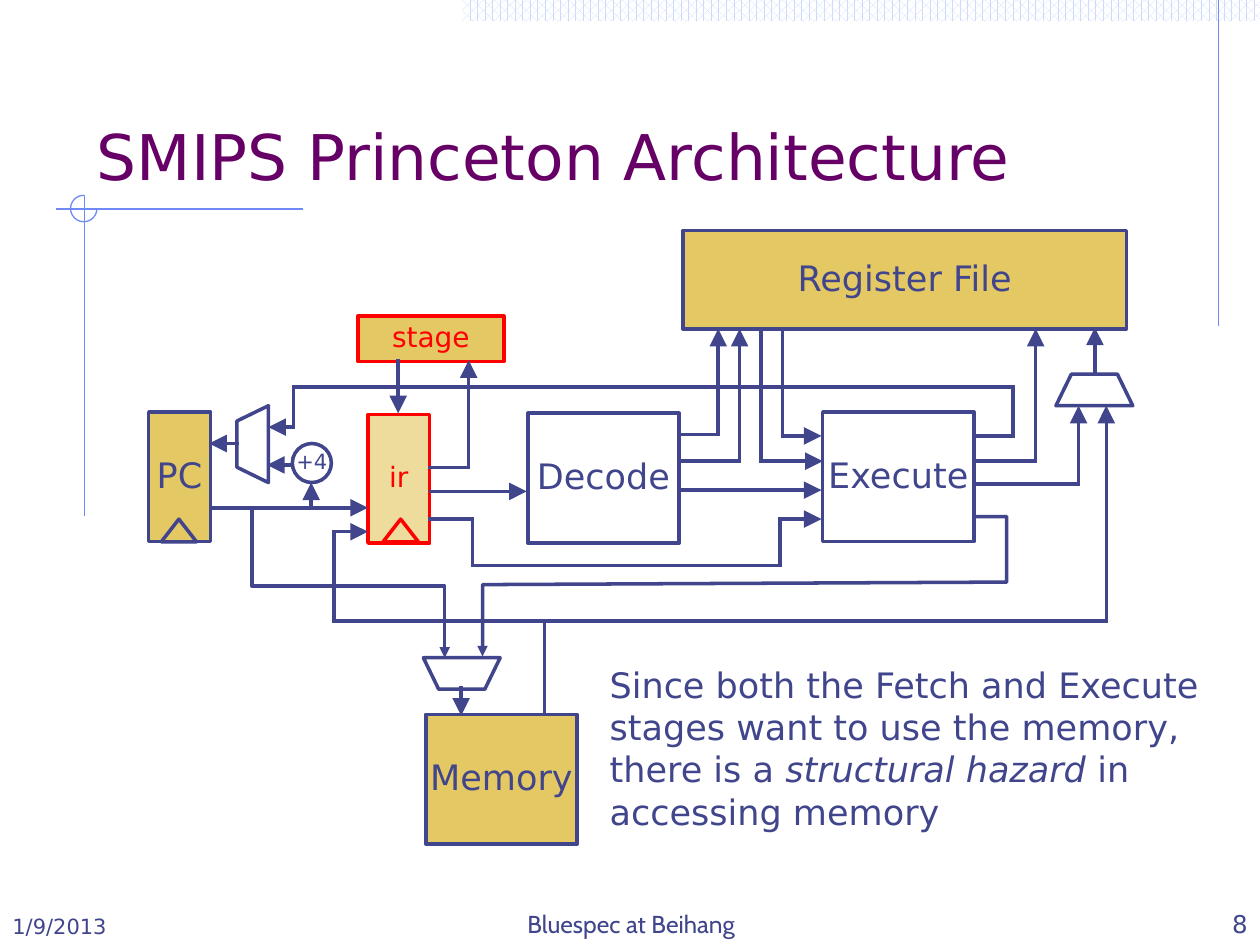
from lxml.etree import SubElement
from pptx import Presentation
from pptx.dml.color import RGBColor
from pptx.enum.dml import MSO_PATTERN as Pattern
from pptx.enum.shapes import MSO_CONNECTOR as Connector, MSO_SHAPE as Shape
from pptx.enum.text import MSO_ANCHOR as Anchor, PP_ALIGN as Align
from pptx.oxml.ns import qn
from pptx.util import Inches, Pt

COLUMNS, ROWS = 1000, 750
CELL = Inches(10) // COLUMNS
FONT = "DejaVu Sans"
COLORS = {
    "ink": "40458C", "title": "660066", "gold": "E4C864", "pale": "EDDC9C",
    "red": "FF0000", "rule": "6F89F7", "band": "CFDBFD", "white": "FFFFFF",
}

BLOCKS = [
    ("PC", (118, 327, 49, 103), "gold", "ink", 20),
    ("Memory", (338, 567, 120, 103), "gold", "ink", 20),
    ("Decode", (419, 328, 120, 103), None, "ink", 20),
    ("Register File", (542, 183, 352, 78), "gold", "ink", 20),
    ("Execute", (653, 327, 120, 103), None, "ink", 20),
    ("ir", (292, 329, 49, 102), "pale", "red", 16),
    ("stage", (284, 251, 116, 36), "gold", "red", 16),
]
MUXES = [((838, 297), 180), ((170, 340), 90), ((336, 522), 0)]
CLOCKS = [(128, "ink"), (304, "red")]

ARROWS = [
    [(341, 412), (375, 412), (375, 449), (619, 449), (619, 412), (652, 412)],
    [(540, 389), (652, 389)],
    [(621, 261), (621, 346), (652, 346)],
    [(604, 261), (604, 366), (653, 366)],
    [(167, 403), (292, 403)],
    [(432, 493), (265, 493), (265, 422), (292, 422)],
    [(432, 567), (432, 493), (878, 493), (878, 322)],
    [(539, 345), (570, 345), (570, 261)],
    [(539, 366), (587, 366), (587, 261)],
    [(869, 295), (869, 260)],
    [(773, 366), (822, 366), (822, 261)],
    [(773, 384), (856, 384), (856, 322)],
    [(773, 346), (804, 346), (804, 307), (233, 307), (233, 339), (213, 339)],
    [(247, 403), (247, 383)],
    [(188, 352), (166, 352)],
    [(232, 369), (212, 369)],
    [(342, 390), (418, 390)],
    [(366, 546), (366, 568)],
    [(316, 286), (316, 328)],
    [(341, 371), (372, 371), (372, 286)],
]
MEMORY_ROUTES = [
    [(200, 404), (200, 465), (353, 465), (353, 522)],
    [(773, 410), (799, 410), (799, 462), (383, 464), (383, 521)],
]
RULES = [
    [(967, 0), (967, 258)],
    [(240, 166), (45, 166)],
    [(67, 155), (67, 409)],
]


def color(name):
    return RGBColor.from_string(COLORS[name])


def cells(*counts):
    return [count * CELL for count in counts]


def paint(shape, fill, line, width=2):
    shape.shadow.inherit = False
    if fill:
        shape.fill.solid()
        shape.fill.fore_color.rgb = color(fill)
    else:
        shape.fill.background()
    shape.line.color.rgb = color(line)
    shape.line.width = Pt(width)


def add_figure(page, kind, area, fill, line, width=2):
    shape = page.shapes.add_shape(kind, *cells(*area))
    paint(shape, fill, line, width)
    return shape


def add_block(page, kind, text, area, fill, ink, size):
    frame = add_figure(page, kind, area, fill, ink).text_frame
    frame.word_wrap = False
    frame.vertical_anchor = Anchor.MIDDLE
    para = frame.paragraphs[0]
    para.text = text
    para.line_spacing = 0.9
    style(para, size, ink, Align.CENTER)


def style(para, size, ink="ink", align=Align.LEFT, font=FONT):
    para.alignment = align
    para.font.size = Pt(size)
    para.font.name = font
    para.font.color.rgb = color(ink)


def add_text(page, spans, area, size, anchor=Anchor.BOTTOM, **look):
    frame = page.shapes.add_textbox(*cells(*area)).text_frame
    frame.word_wrap = True
    frame.vertical_anchor = anchor
    para = frame.paragraphs[0]
    for text, italic in spans:
        span = para.add_run()
        span.text = text
        if italic:
            span.font.italic = True
    style(para, size, **look)


def add_arrowhead(shape, size):
    outline = shape._element.spPr.find(qn("a:ln"))
    SubElement(outline, qn("a:tailEnd"), type="triangle", w=size, len=size)


def add_wire(page, points, ink="ink", width=2, arrow=True):
    for start, end in zip(points, points[1:]):
        line = page.shapes.add_connector(Connector.STRAIGHT, *cells(*start, *end))
        line.line.color.rgb = color(ink)
        line.line.width = Pt(width)
        properties = line._element.spPr
        properties.find(qn("a:ln")).set("cap", "sq")
        SubElement(properties, qn("a:effectLst"))
    if arrow:
        add_arrowhead(line, "lg")


def add_route(page, points):
    builder = page.shapes.build_freeform(*points[0], scale=CELL)
    builder.add_line_segments(points[1:], close=False)
    route = builder.convert_to_shape()
    paint(route, None, "ink")
    add_arrowhead(route, "med")


def add_decoration(page):
    band = page.shapes.add_shape(Shape.RECTANGLE, *cells(367, 0, 633, 17))
    band.shadow.inherit = False
    band.line.fill.background()
    band.fill.patterned()
    band.fill.pattern = Pattern.PERCENT_60
    band.fill.fore_color.rgb = color("band")
    band.fill.back_color.rgb = color("white")
    for points in RULES:
        add_wire(page, points, "rule", 0.75, arrow=False)
    arc = add_figure(page, Shape.ARC, (56, 155, 21, 21), None, "rule", 0.75)
    arc.adjustments[0] = 0
    arc.adjustments[1] = 162


def add_diagram(page):
    for block in BLOCKS:
        add_block(page, Shape.RECTANGLE, *block)
    add_block(page, Shape.OVAL, "+4", (232, 352, 31, 31), None, "ink", 12)
    for corner, turn in MUXES:
        mux = add_figure(page, Shape.FLOWCHART_MANUAL_OPERATION, (*corner, 61, 25), "white", "ink")
        mux.rotation = turn
    for left, ink in CLOCKS:
        add_figure(page, Shape.ISOSCELES_TRIANGLE, (left, 412, 28, 18), None, ink)
    for points in ARROWS:
        add_wire(page, points)
    for points in MEMORY_ROUTES:
        add_route(page, points)


def main():
    deck = Presentation()
    deck.slide_width, deck.slide_height = cells(COLUMNS, ROWS)
    page = deck.slides.add_slide(deck.slide_layouts[6])
    add_decoration(page)
    add_text(page, [("SMIPS Princeton Architecture", False)], (67, 33, 850, 125), 36, ink="title")
    add_diagram(page)
    add_text(page, [
        ("Since both the Fetch and Execute stages want to use the memory, there is a ", False),
        ("structural hazard", True),
        (" in accessing memory", False),
    ], (474, 522, 510, 145), 20, Anchor.TOP)
    add_text(page, [("1/9/2013", False)], (0, 700, 208, 50), 12)
    add_text(page, [("Bluespec at Beihang", False)], (336, 700, 330, 50), 14,
             align=Align.CENTER, font="Cabin")
    add_text(page, [("8", False)], (792, 700, 208, 50), 14, align=Align.RIGHT)
    deck.save("out.pptx")


if __name__ == "__main__":
    main()
